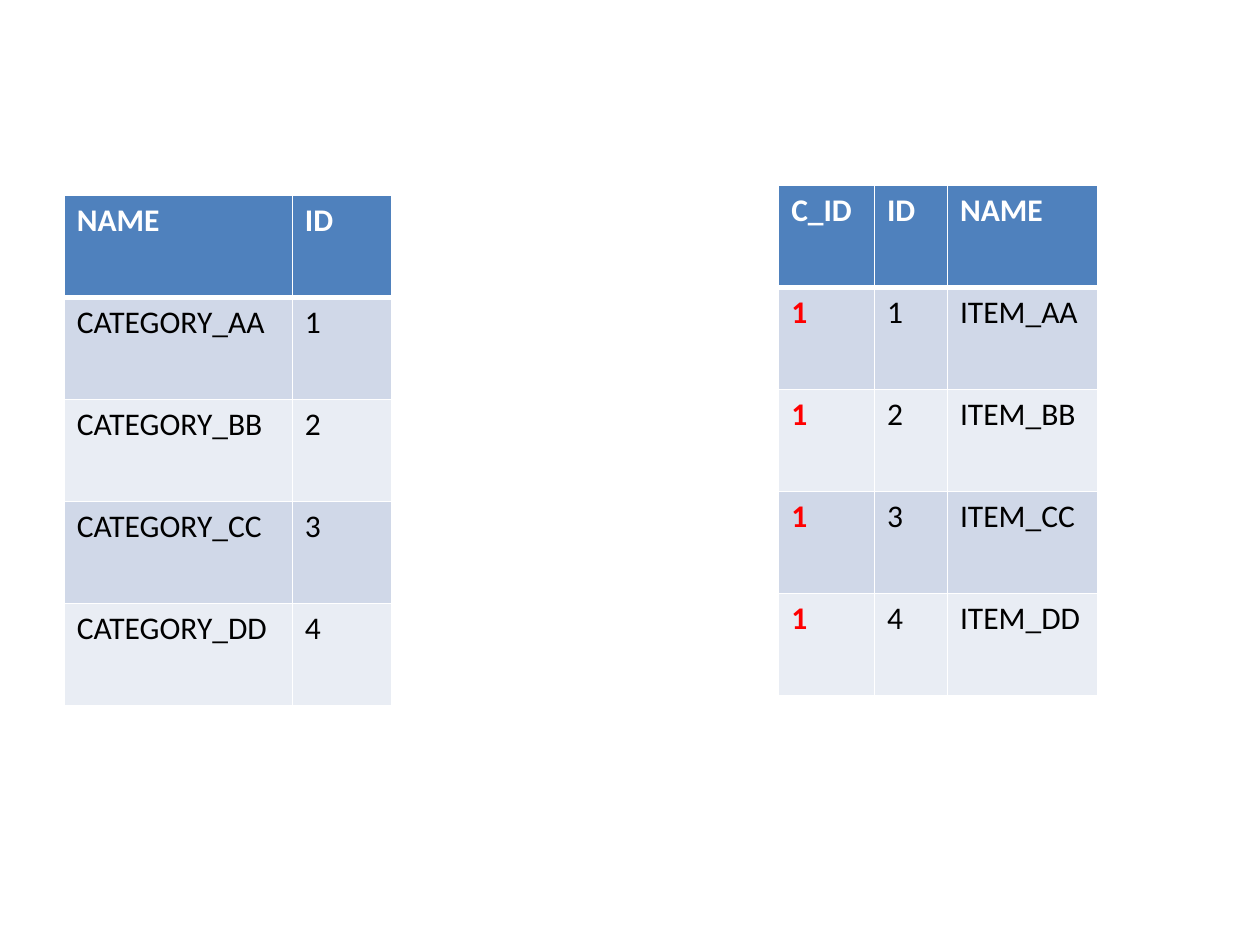
import lxml.etree
import pptx
import pptx.dml.color
import pptx.oxml.ns
import pptx.util

Inches = pptx.util.Inches
RGBColor = pptx.dml.color.RGBColor

WHITE = RGBColor(0xFF, 0xFF, 0xFF)
BLACK = RGBColor(0x00, 0x00, 0x00)
RED = RGBColor(0xFF, 0x00, 0x00)
HEADER_BLUE = RGBColor(0x4F, 0x81, 0xBD)
BAND_DARK = RGBColor(0xD0, 0xD8, 0xE8)
BAND_LIGHT = RGBColor(0xE9, 0xED, 0xF4)
ROW_HEIGHT = Inches(0.81)


def write_text(frame, text, color=BLACK, bold=False, size=18, font="Calibri"):
    run = frame.paragraphs[0].add_run()
    run.text = text
    run.font.name = font
    run.font.size = pptx.util.Pt(size)
    run.font.bold = bold
    run.font.color.rgb = color


def set_borders(cell, color, **widths):
    properties = cell._tc.get_or_add_tcPr()
    for position, (side, width) in enumerate(widths.items()):
        line = lxml.etree.Element(pptx.oxml.ns.qn(f"a:{side}"), w=str(pptx.util.Pt(width)))
        fill = lxml.etree.SubElement(line, pptx.oxml.ns.qn("a:solidFill"))
        lxml.etree.SubElement(fill, pptx.oxml.ns.qn("a:srgbClr"), val=str(color))
        properties.insert(position, line)


presentation = pptx.Presentation()
presentation.slide_width = Inches(10)
presentation.slide_height = Inches(7.5)
slide = presentation.slides.add_slide(presentation.slide_layouts[6])

suffixes = ["AA", "BB", "CC", "DD"]
categories = [["NAME", "ID"]]
items = [["C_ID", "ID", "NAME"]]
for number, suffix in enumerate(suffixes, start=1):
    categories.append([f"CATEGORY_{suffix}", str(number)])
    items.append(["1", str(number), f"ITEM_{suffix}"])

for left, top, widths, records in [
    (0.51, 1.55, [1.81, 0.79], categories),
    (6.18, 1.47, [0.76, 0.58, 1.19], items),
]:
    table = slide.shapes.add_table(
        len(records), len(widths), Inches(left), Inches(top),
        Inches(sum(widths)), ROW_HEIGHT * len(records),
    ).table
    for column, width in zip(table.columns, widths):
        column.width = Inches(width)
    for row, record in enumerate(records):
        table.rows[row].height = ROW_HEIGHT
        is_header = row == 0
        band = BAND_DARK if row % 2 else BAND_LIGHT
        for column, text in enumerate(record):
            cell = table.cell(row, column)
            cell.fill.solid()
            cell.fill.fore_color.rgb = HEADER_BLUE if is_header else band
            set_borders(cell, WHITE, lnL=1, lnR=1, lnT=3 if row == 1 else 1, lnB=3 if is_header else 1)
            is_foreign_key = records[0][column] == "C_ID"
            color = WHITE if is_header else RED if is_foreign_key else BLACK
            write_text(cell.text_frame, text, color=color, bold=is_header or is_foreign_key)

presentation.save("out.pptx")
